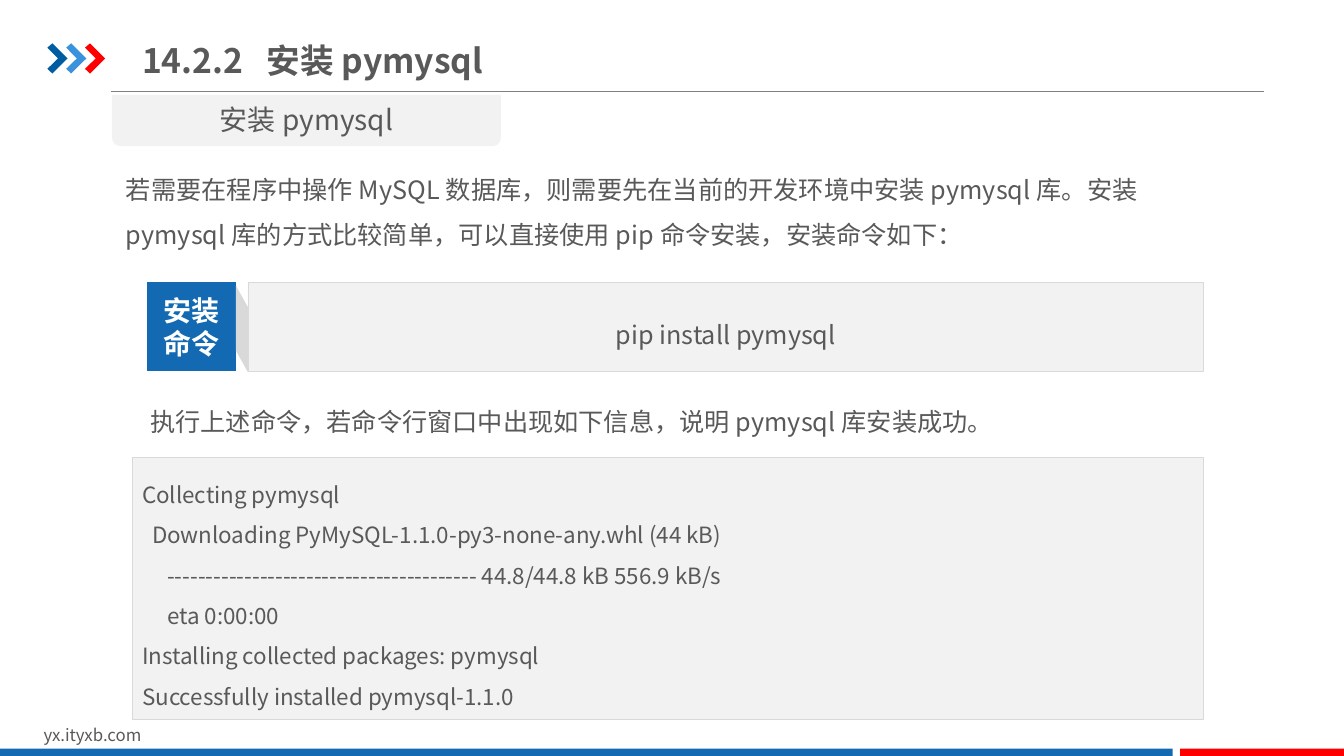
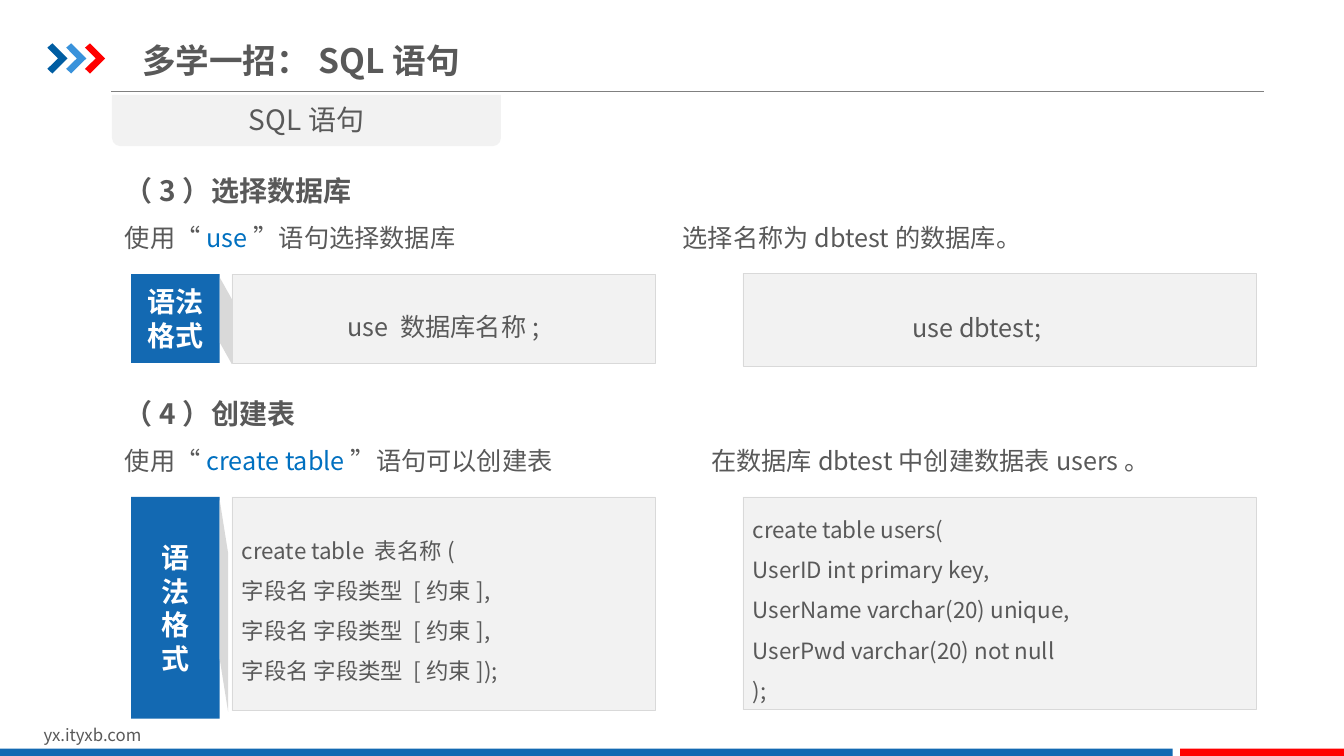
from pptx import Presentation
from pptx import util as u
from pptx.dml.color import RGBColor
from pptx.enum import shapes, text
from pptx.oxml.ns import qn
from lxml import etree

COLUMNS, ROWS = 40, 22.5
FONT = "Noto Sans CJK SC"
COLORS = {
    "text": "595959", "white": "FFFFFF", "panel": "F2F2F2", "border": "D9D9D9",
    "rule": "808080", "blue": "1369B2", "navy": "005DA2", "sky": "3992DB",
    "red": "FF0000", "keyword": "0070C0",
}
CHEVRON = [(0, 0.13), (0.15, 0), (0.6, 0.45), (0.15, 0.9), (0, 0.76), (0.32, 0.45)]
LEFT, CENTER = text.PP_ALIGN.LEFT, text.PP_ALIGN.CENTER
TOP, MIDDLE = text.MSO_ANCHOR.TOP, text.MSO_ANCHOR.MIDDLE
RECTANGLE = shapes.MSO_SHAPE.RECTANGLE
TITLE_ONLY = 5


def color(name):
    return RGBColor.from_string(COLORS[name])


class Deck:
    """Holds the style and the current slide; lengths are grid columns and rows."""

    def __init__(self):
        self.presentation = Presentation()
        self.presentation.slide_width = u.Inches(13.33)
        self.presentation.slide_height = u.Inches(7.5)
        self.layout = self.presentation.slide_layouts[TITLE_ONLY]
        self.slide = None

    def x(self, columns):
        return u.Emu(round(self.presentation.slide_width * columns / COLUMNS))

    def y(self, rows):
        return u.Emu(round(self.presentation.slide_height * rows / ROWS))

    def box(self, left, top, width, height):
        return self.x(left), self.y(top), self.x(width), self.y(height)

    def new_slide(self, title, heading):
        first = self.slide is None
        self.slide = self.presentation.slides.add_slide(self.layout)
        if first:
            self.furnish_layout()
        shape = self.slide.shapes.title
        place = dict(zip(("left", "top", "width", "height"),
                         self.box(3.93, 0.87, 16.23, 1.83)))
        for name, value in place.items():
            setattr(shape, name, value)
        self.set_text(shape, [title], size=24, bold=True, anchor=MIDDLE, tab=3.7)

        tab = self.panel(3.33, 2.82, 11.58, 1.53, "panel",
                         kind=shapes.MSO_SHAPE.ROUND_2_SAME_RECTANGLE)
        tab.rotation = 180
        self.textbox(3.33, 2.91, 11.58, 1.32, [heading], size=20, align=CENTER)

    def furnish_layout(self):
        """Draws the shared parts on the first slide and moves them to the layout."""
        parts = [self.rule(3.3, 2.73, 37.62)]
        for index, fill in enumerate(("navy", "sky", "red")):
            left = 1.41 + 0.56 * index
            parts.append(self.outline([(left + dx, 1.29 + dy) for dx, dy in CHEVRON], fill))
        parts.append(self.textbox(1, 21.42, 9.54, 0.9, ["yx.ityxb.com"], size=12))
        parts.append(self.panel(0, 22.28, 34.9, 0.22, "blue"))
        parts.append(self.panel(35.12, 22.28, 4.88, 0.22, "red"))
        for part in parts:
            self.layout.shapes.element.append(part.element)

    def rule(self, left, top, right):
        line = self.slide.shapes.add_connector(
            shapes.MSO_CONNECTOR.STRAIGHT,
            self.x(left), self.y(top), self.x(right), self.y(top))
        line.line.color.rgb = color("rule")
        line.line.width = u.Pt(0.75)
        etree.SubElement(line.element.spPr, qn("a:effectLst"))
        return line

    def paint(self, shape, fill, border=None):
        shape.shadow.inherit = False
        shape.fill.solid()
        shape.fill.fore_color.rgb = color(fill)
        if border:
            shape.line.color.rgb = color(border)
            shape.line.width = u.Pt(0.25)
        else:
            shape.line.fill.background()
        return shape

    def outline(self, points, fill):
        corners = [(self.x(left), self.y(top)) for left, top in points]
        builder = self.slide.shapes.build_freeform(*corners[0])
        builder.add_line_segments(corners[1:], close=True)
        return self.paint(builder.convert_to_shape(), fill)

    def panel(self, left, top, width, height, fill, border=None, kind=RECTANGLE):
        shape = self.slide.shapes.add_shape(kind, *self.box(left, top, width, height))
        return self.paint(shape, fill, border)

    def textbox(self, left, top, width, height, lines, **style):
        shape = self.slide.shapes.add_textbox(*self.box(left, top, width, height))
        return self.set_text(shape, lines, **style)

    def code(self, left, top, width, height, lines, **style):
        shape = self.panel(left, top, width, height, "panel", "border")
        return self.set_text(shape, lines, spacing=1.5, anchor=MIDDLE, **style)

    def labelled_code(self, left, top, width, height, label, lines,
                      label_height=2.64, fold=0.36, **style):
        """A blue label, a grey fold beside it and the code panel."""
        self.code(left + 3, top, width, height, lines, **style)
        shape = self.panel(left, top, 2.64, label_height, "blue")
        self.set_text(shape, label, size=20, bold=True, fill="white",
                      align=CENTER, anchor=MIDDLE, margin=0)
        near, far = left + 2.64, left + 2.64 + fold
        start, drop = top + 0.1, height - 0.06
        self.outline([(far, start + drop / 4), (far, start + drop),
                      (near, start + drop * 3 / 4), (near, start)], "border")

    def topic(self, top, title, keyword, ending, example, tab):
        """A bold heading above a sentence and, at the tab stop, its example."""
        sentence = [("使用“", {}), (keyword, {"fill": "keyword"}),
                    (f"”{ending}\t{example}", {})]
        self.textbox(3.42, top, 33.96, 3.18,
                     [[(title, {"size": 20, "bold": True})], sentence],
                     spacing=1.5, tab=tab)

    def set_text(self, shape, lines, size=18, bold=False, fill="text", align=LEFT,
                 anchor=TOP, spacing=1.0, tab=None, margin=0.3, right_margin=None):
        """Each line is a string or a list of (words, changed style) runs."""
        frame = shape.text_frame
        settings = {
            "word_wrap": True, "auto_size": text.MSO_AUTO_SIZE.NONE,
            "vertical_anchor": anchor, "margin_left": self.x(margin),
            "margin_right": self.x(margin if right_margin is None else right_margin),
            "margin_top": self.y(0.15), "margin_bottom": self.y(0.15),
        }
        for name, value in settings.items():
            setattr(frame, name, value)
        for index, line in enumerate(lines):
            paragraph = frame.add_paragraph() if index else frame.paragraphs[0]
            paragraph.alignment = align
            paragraph.line_spacing = spacing
            if tab:
                stops = etree.SubElement(paragraph._p.get_or_add_pPr(), qn("a:tabLst"))
                etree.SubElement(stops, qn("a:tab"), pos=str(self.x(tab)), algn="l")
            for words, changes in [(line, {})] if isinstance(line, str) else line:
                style = {"size": size, "bold": bold, "fill": fill, **changes}
                run = paragraph.add_run()
                run.text = words
                font = {"size": u.Pt(style["size"]), "bold": style["bold"], "name": FONT}
                for name, value in font.items():
                    setattr(run.font, name, value)
                run.font.color.rgb = color(style["fill"])
                etree.SubElement(run._r.get_or_add_rPr(), qn("a:ea"), typeface=FONT)
        return shape


def install_slide(deck):
    deck.new_slide("14.2.2\t安装pymysql", "安装pymysql")
    deck.textbox(3.45, 4.59, 32.1, 3.48, [
        "若需要在程序中操作MySQL数据库，则需要先在当前的开发环境中安装pymysql库。"
        "安装pymysql库的方式比较简单，可以直接使用pip命令安装，安装命令如下："], spacing=1.5)
    deck.labelled_code(4.38, 8.4, 28.44, 2.64, ["安装", "命令"],
                       ["pip install pymysql"], align=CENTER)
    deck.textbox(4.17, 11.49, 32.1, 1.8, [
        "执行上述命令，若命令行窗口中出现如下信息，说明pymysql库安装成功。"], spacing=1.5)
    deck.code(3.93, 13.62, 31.89, 7.8, [
        "Collecting pymysql",
        "  Downloading PyMySQL-1.1.0-py3-none-any.whl (44 kB)",
        "     ---------------------------------------- 44.8/44.8 kB 556.9 kB/s",
        "     eta 0:00:00",
        "Installing collected packages: pymysql",
        "Successfully installed pymysql-1.1.0"], size=16)


def sql_slide(deck):
    deck.new_slide("多学一招：SQL语句", "SQL语句")
    deck.topic(4.53, "（3）选择数据库", "use", "语句选择数据库",
               "选择名称为dbtest的数据库。", tab=16.6)
    deck.code(22.11, 8.13, 15.27, 2.76, ["use dbtest;"], align=CENTER, right_margin=1.65)
    deck.labelled_code(3.9, 8.16, 12.6, 2.64, ["语法", "格式"],
                       ["use 数据库名称;"], align=CENTER)
    deck.topic(11.16, "（4）创建表", "create table", "语句可以创建表",
               "在数据库dbtest中创建数据表users。", tab=17.45)
    deck.code(22.11, 14.79, 15.27, 6.33, [
        "create table users(",
        "UserID int primary key,",
        "UserName varchar(20) unique,",
        "UserPwd varchar(20) not null",
        ");"], size=16)
    field = "字段名 字段类型 [约束]"
    deck.labelled_code(3.9, 14.79, 12.6, 6.36, list("语法格式"),
                       ["create table 表名称(", f"{field},", f"{field},", f"{field});"],
                       label_height=6.6, fold=0.25, size=16)


def main():
    deck = Deck()
    install_slide(deck)
    sql_slide(deck)
    deck.presentation.save("out.pptx")


if __name__ == "__main__":
    main()
